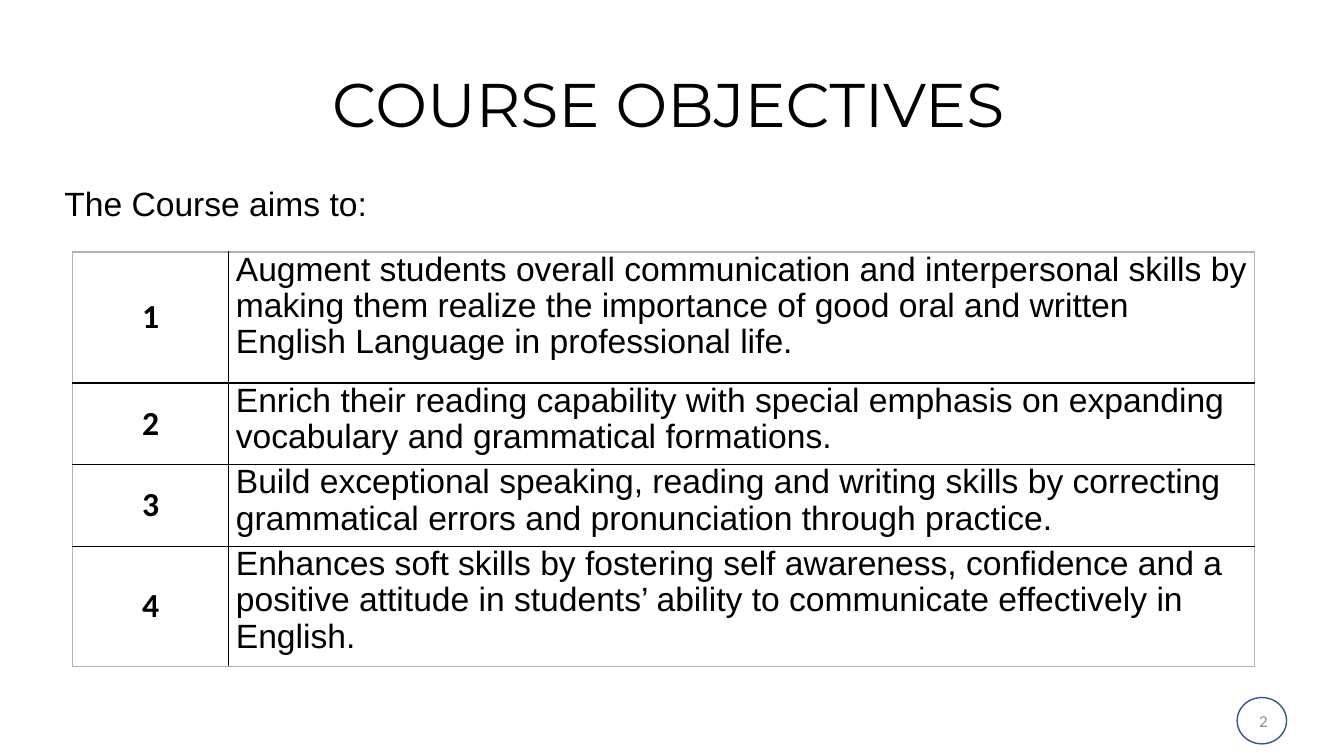
import pptx
import pptx.util
import pptx.dml.color
import pptx.enum.shapes
import pptx.enum.text
import pptx.oxml
import pptx.oxml.ns

# Content
TITLE = "COURSE OBJECTIVES"
INTRO = "The Course aims to:"
PAGE = "2"
OBJECTIVES = [
    "Augment students overall communication and interpersonal skills by making them realize "
    "the importance of good oral and written English Language in professional life.",
    "Enrich their reading capability with special emphasis on expanding vocabulary and "
    "grammatical formations.",
    "Build exceptional speaking, reading and writing skills by correcting grammatical errors "
    "and pronunciation through practice.",
    "Enhances soft skills by fostering self awareness, confidence and a positive attitude in "
    "students’ ability to communicate effectively in English.",
]

# Layout in inches
SLIDE_WIDTH, SLIDE_HEIGHT = 13.33, 7.5
COLUMNS = [1.55, 10.17]
ROWS = [1.3, 0.81, 0.81, 1.19]
TABLE_LEFT, TABLE_TOP = 0.72, 2.5
CELL_INSET = 0.07
INNER, OUTER = "000000", "B2B2B2"

ALIGN = pptx.enum.text.PP_ALIGN
ANCHOR = pptx.enum.text.MSO_ANCHOR
inches = pptx.util.Inches


def color(value):
    return pptx.dml.color.RGBColor.from_string(value)


def write(frame, text, size=24, font="Arial", ink="000000", bold=False,
          align=ALIGN.LEFT, spacing=None):
    paragraph = frame.paragraphs[0]
    paragraph.alignment = align
    if spacing:
        paragraph.line_spacing = spacing
    run = paragraph.add_run()
    run.text = text
    run.font.size = pptx.util.Pt(size)
    run.font.name = font
    run.font.bold = bold
    run.font.color.rgb = color(ink)


def add_text(slide, box, text, anchor=ANCHOR.TOP, wrap=True, **style):
    frame = slide.shapes.add_textbox(*map(inches, box)).text_frame
    frame.word_wrap = wrap
    frame.vertical_anchor = anchor
    write(frame, text, **style)


def set_borders(cell, edges):
    properties = cell._tc.get_or_add_tcPr()
    for position, (side, ink) in enumerate(edges.items()):
        namespace = pptx.oxml.ns.nsdecls("a")
        properties.insert(position, pptx.oxml.parse_xml(
            f'<a:{side} {namespace} w="12700"><a:solidFill><a:srgbClr val="{ink}"/>'
            f'</a:solidFill></a:{side}>'))


def add_objectives(slide):
    frame = slide.shapes.add_table(
        len(ROWS), len(COLUMNS), inches(TABLE_LEFT), inches(TABLE_TOP),
        inches(sum(COLUMNS)), inches(sum(ROWS)))
    table = frame.table
    table.first_row = table.horz_banding = False
    for column, width in zip(table.columns, COLUMNS):
        column.width = inches(width)
    for row_index, (height, objective) in enumerate(zip(ROWS, OBJECTIVES)):
        table.rows[row_index].height = inches(height)
        number, description = table.rows[row_index].cells
        for cell in (number, description):
            cell.fill.background()
            cell.margin_left = cell.margin_right = inches(CELL_INSET)
            cell.margin_top = cell.margin_bottom = 0
            set_borders(cell, {
                "lnL": OUTER if cell is number else INNER,
                "lnR": INNER if cell is number else OUTER,
                "lnT": OUTER if row_index == 0 else INNER,
                "lnB": OUTER if row_index == len(ROWS) - 1 else INNER,
            })
        number.vertical_anchor = ANCHOR.MIDDLE
        write(number.text_frame, str(row_index + 1), font="Calibri", bold=True,
              align=ALIGN.CENTER)
        write(description.text_frame, objective, spacing=0.97)


def main():
    presentation = pptx.Presentation()
    presentation.slide_width = inches(SLIDE_WIDTH)
    presentation.slide_height = inches(SLIDE_HEIGHT)
    slide = presentation.slides.add_slide(presentation.slide_layouts[6])

    # Page number and title
    add_text(slide, (9.67, 6.95, 3, 0.4), PAGE, anchor=ANCHOR.MIDDLE, size=12,
             font="Calibri", ink="8C8C8C", align=ALIGN.RIGHT)
    add_text(slide, (2.36, 0.69, 8.54, 1.01), TITLE, size=44, font="Montserrat",
             align=ALIGN.CENTER, spacing=0.9)

    # Ring around the page number
    ring = slide.shapes.add_shape(pptx.enum.shapes.MSO_SHAPE.OVAL,
                                  *map(inches, (12.27, 6.92, 0.49, 0.46)))
    ring.shadow.inherit = False
    ring.fill.background()
    ring.line.color.rgb = color("325491")
    ring.line.width = pptx.util.Pt(1)

    # Objectives
    add_objectives(slide)
    add_text(slide, (0.54, 1.77, 3.23, 0.5), INTRO, wrap=False)

    presentation.save("out.pptx")


if __name__ == "__main__":
    main()
